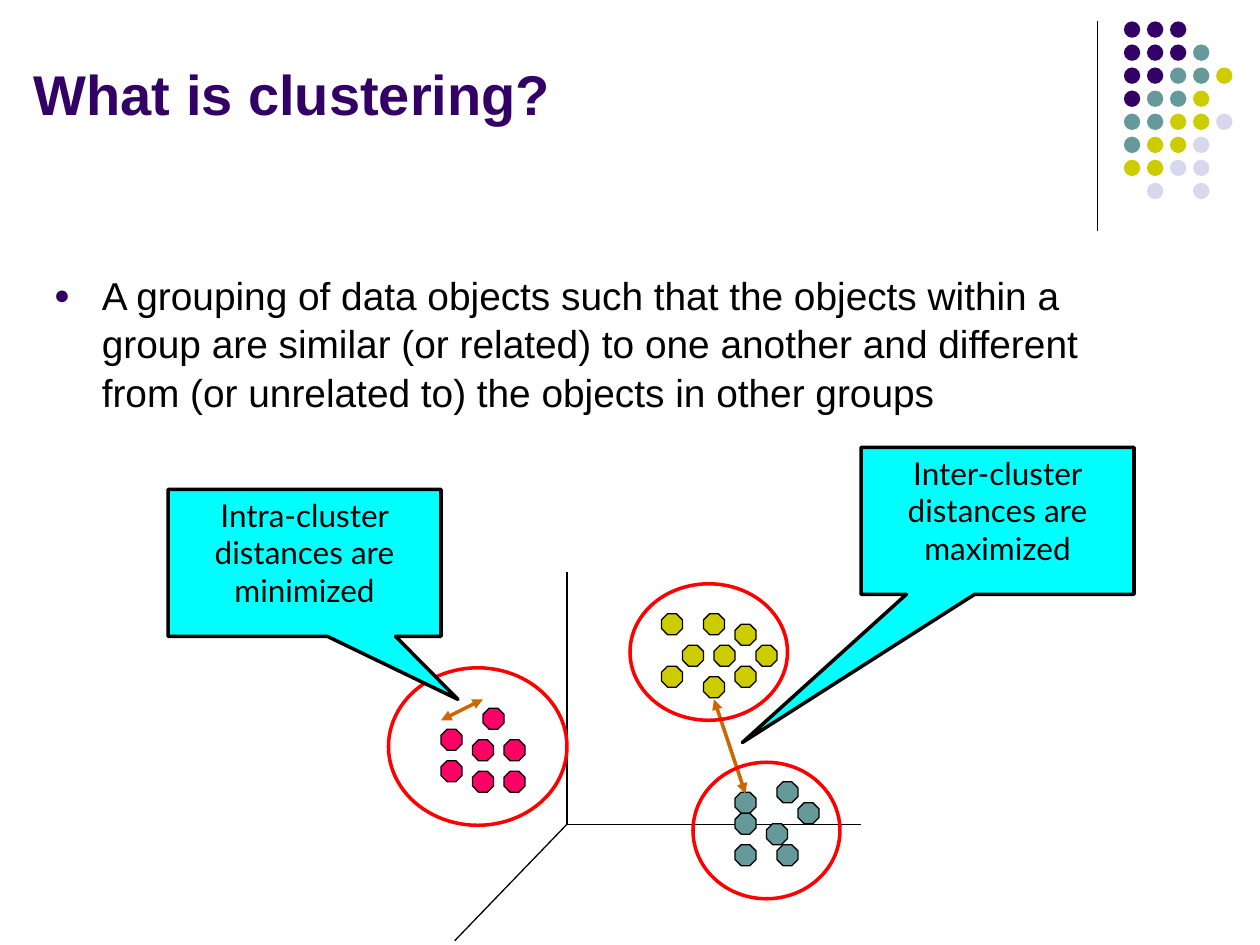
from dataclasses import dataclass
from lxml.etree import SubElement
from pptx import Presentation
from pptx.dml.color import RGBColor
from pptx.enum.shapes import MSO_CONNECTOR, MSO_SHAPE
from pptx.enum.text import MSO_ANCHOR, PP_ALIGN
from pptx.oxml.ns import qn
from pptx.util import Inches, Pt


@dataclass(frozen=True)
class Theme:
    head: str = "Arial"
    note: str = "Lato"
    big: float = 32
    mid: float = 22.2
    small: float = 18
    thin: float = 0.75
    thick: float = 2
    black: str = "000000"
    plum: str = "330066"
    teal: str = "669999"
    lime: str = "CCCC00"
    pale: str = "D8D8EC"
    pink: str = "FF0066"
    red: str = "FF0000"
    cyan: str = "00FFFF"
    rust: str = "CC6600"


T = Theme()
WIDE, HIGH = 10, 7.5
CELL = WIDE / 120

TITLE = "What is clustering?"
BODY = ("A grouping of data objects such that the objects within a group are "
        "similar (or related) to one another and different from (or unrelated "
        "to) the objects in other groups")

DOTS = ["PPP", "PPPT", "PPTTL", "PTTL", "TTLLG", "TLLG", "LLGG", " G G"]
HUES = {"P": T.plum, "T": T.teal, "L": T.lime, "G": T.pale}
DOT, STEP = 0.13, 0.183
DOT_LEFT, DOT_TOP = 8.92, 0.17

RULE = (104.5, 2, 104.5, 22)
AXES = [(54, 54.5, 54, 78.5), (54, 78.5, 82, 78.5), (54, 78.5, 43.3, 89.6)]

ROW_TOP = 58.45
GROUPS = [
    (T.lime, [(65, 3), (68, 3), (67, 0), (67, 6), (72, 3), (70, 1), (63, 0),
              (70, 5), (63, 5)]),
    (T.pink, [(42, 11), (45, 12), (45, 15), (48, 12), (46, 9), (48, 15),
              (42, 14)]),
    (T.teal, [(70, 17), (76, 18), (73, 20), (70, 22), (74, 22), (70, 19),
              (74, 16)]),
]
RINGS = [(37, 63.6, 17, 15), (60, 55.6, 15, 13), (66, 72.6, 14, 13)]

INTER = ("Inter-cluster distances are maximized",
         (82, 42.6, 26, 14), (-0.935, 1.509), (71, 75.6, 68, 66.6))
INTRA = ("Intra-cluster distances are minimized",
         (16, 46.6, 26, 14), (0.562, 0.929), (42, 68.6, 46, 66.6))

deck = Presentation()
deck.slide_width, deck.slide_height = Inches(WIDE), Inches(HIGH)
slide = deck.slides.add_slide(deck.slide_layouts[6])


def hue(code):
    return RGBColor.from_string(code)


def grid(cells):
    return [Inches(n * CELL) for n in cells]


def draw_line(ends, tint=T.black, width=T.thin, arrow=False):
    line = slide.shapes.add_connector(MSO_CONNECTOR.STRAIGHT, *grid(ends))
    line.line.color.rgb = hue(tint)
    line.line.width = Pt(width)
    if arrow:
        for end in ("a:headEnd", "a:tailEnd"):
            SubElement(line.line._get_or_add_ln(), qn(end), type="triangle")
    SubElement(line._element.spPr, qn("a:effectLst"))


def draw_shape(kind, box, fill=None, tint=None, width=T.thin):
    shape = slide.shapes.add_shape(kind, *box)
    shape.shadow.inherit = False
    if fill:
        shape.fill.solid()
        shape.fill.fore_color.rgb = hue(fill)
    else:
        shape.fill.background()
    if tint:
        shape.line.color.rgb = hue(tint)
        shape.line.width = Pt(width)
    else:
        shape.line.fill.background()
    return shape


def write(shape, words, face, size, tint, bold=False):
    frame = shape.text_frame
    frame.word_wrap = True
    frame.text = words
    part = frame.paragraphs[0]
    font = part.runs[0].font
    font.name, font.size, font.bold = face, Pt(size), bold
    font.color.rgb = hue(tint)
    return frame, part


def text_box(box, *style):
    shape = slide.shapes.add_textbox(*map(Inches, box))
    return write(shape, *style)


def add_bullet(part):
    props = part._p.get_or_add_pPr()
    props.set("marL", str(Inches(0.38)))
    props.set("indent", str(-Inches(0.38)))
    SubElement(SubElement(props, qn("a:buClr")), qn("a:srgbClr"), val=T.plum)
    SubElement(props, qn("a:buSzPct"), val="70000")
    SubElement(props, qn("a:buFont"), typeface=T.head)
    SubElement(props, qn("a:buChar"), char="●")


def draw_note(words, box, tip, ends):
    draw_line(ends, T.rust, T.thick, arrow=True)
    note = draw_shape(MSO_SHAPE.RECTANGULAR_CALLOUT, grid(box), T.cyan,
                      T.black, T.thick)
    note.adjustments[0], note.adjustments[1] = tip
    frame, part = write(note, words, T.note, T.small, T.black)
    frame.vertical_anchor = MSO_ANCHOR.TOP
    part.alignment = PP_ALIGN.CENTER


draw_line(RULE)
for row, marks in enumerate(DOTS):
    for col, mark in enumerate(marks):
        if mark in HUES:
            spot = (DOT_LEFT + col * STEP, DOT_TOP + row * STEP, DOT, DOT)
            draw_shape(MSO_SHAPE.OVAL, map(Inches, spot), HUES[mark])

frame, part = text_box((0.17, 0.34, 9, 0.8), TITLE, T.head, T.big, T.plum, True)
frame.vertical_anchor = MSO_ANCHOR.MIDDLE

frame, part = text_box((0.33, 2.07, 9, 1.24), BODY, T.head, T.mid, T.black)
frame.margin_top = Inches(0.07)
add_bullet(part)
part.line_spacing = 1.04

for axis in AXES:
    draw_line(axis)
for tint, spots in GROUPS:
    for col, row in spots:
        draw_shape(MSO_SHAPE.OCTAGON, grid((col, ROW_TOP + row, 2, 2)), tint,
                   T.black)
draw_note(*INTER)
for ring in RINGS:
    draw_shape(MSO_SHAPE.OVAL, grid(ring), None, T.red, T.thick)
draw_note(*INTRA)

deck.save("out.pptx")
